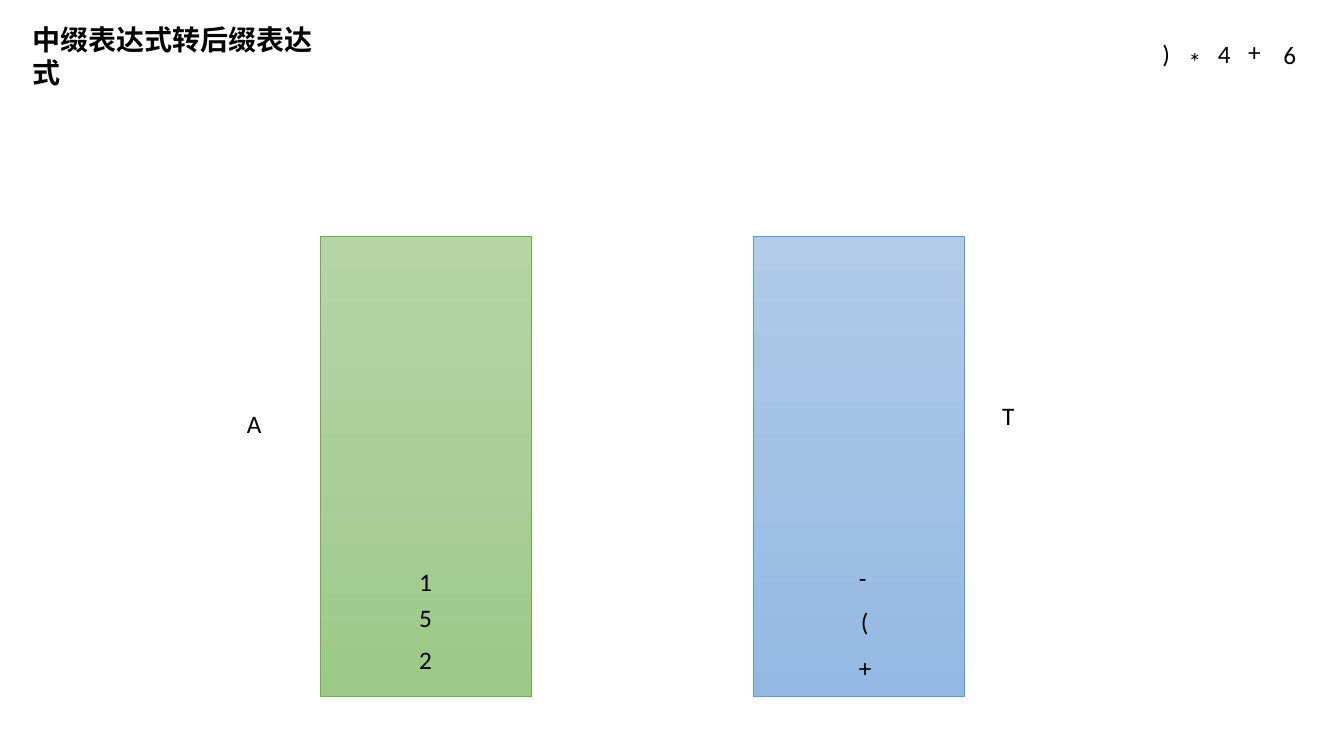
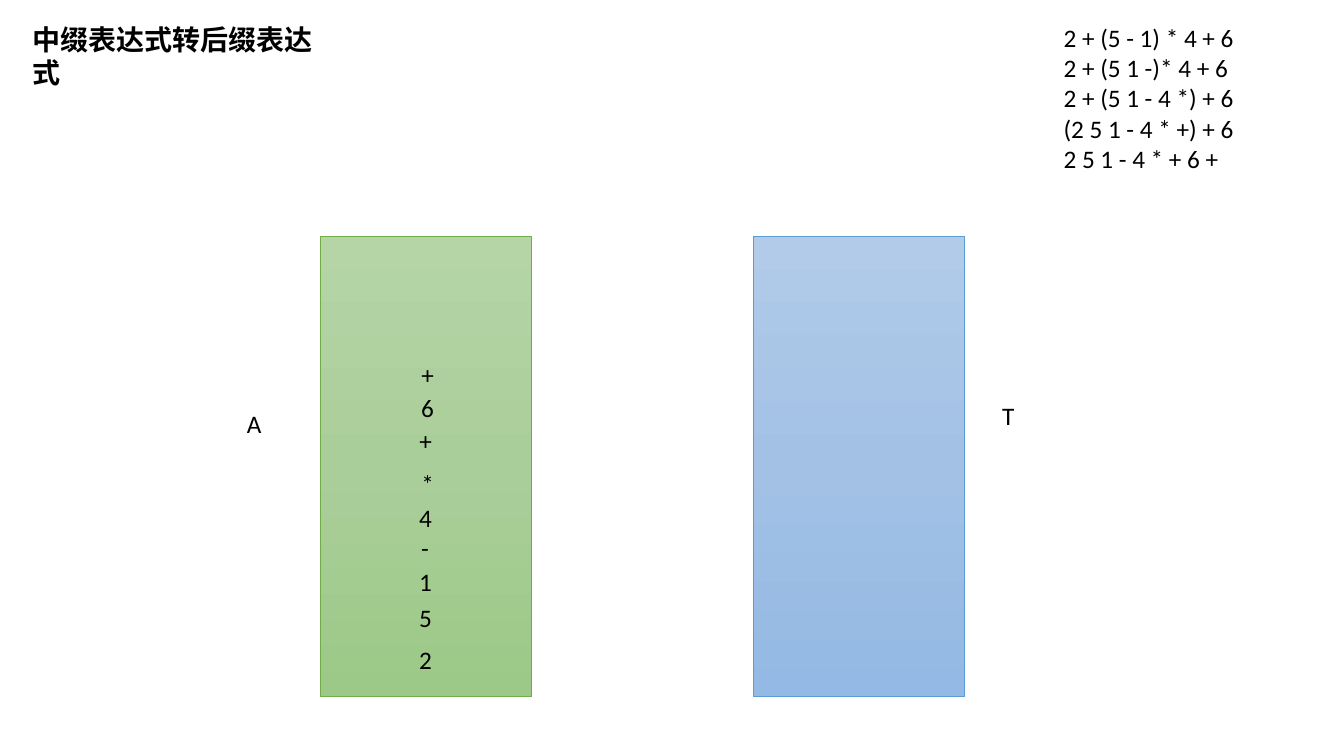
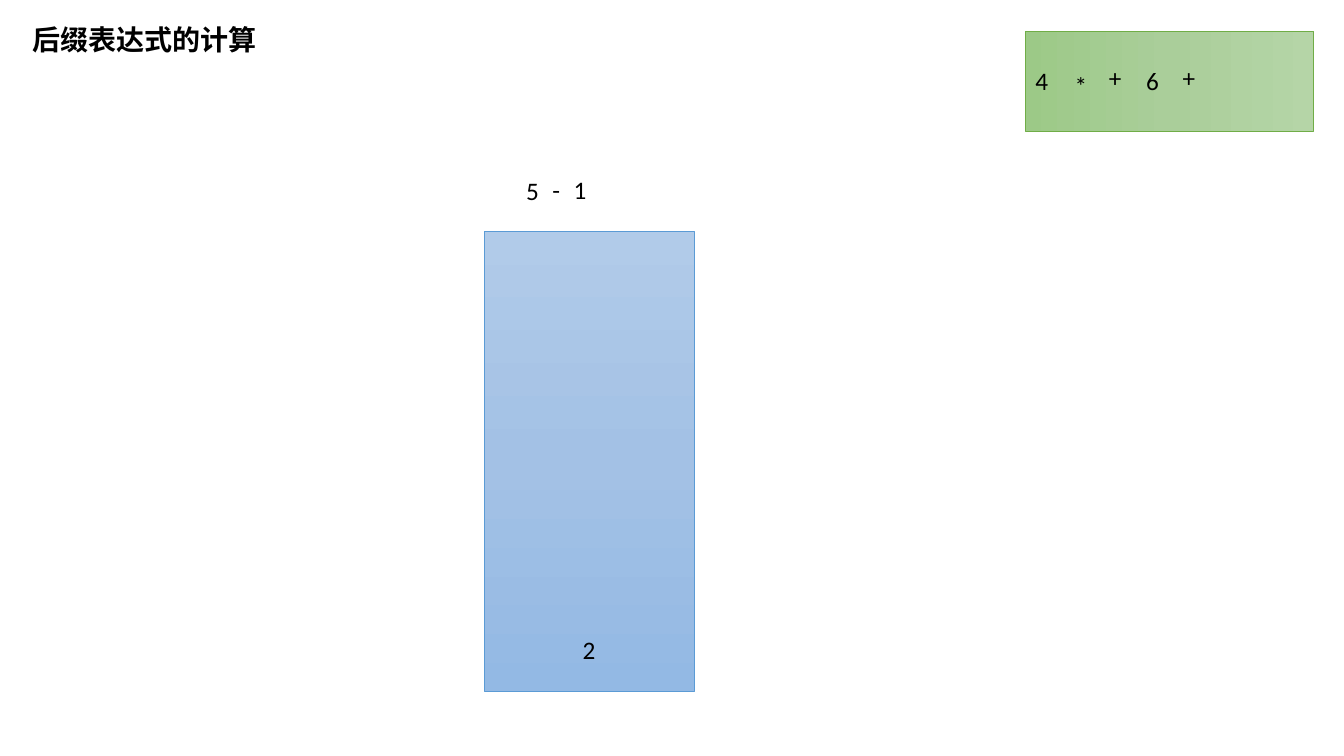
from collections import namedtuple
from dataclasses import dataclass

from lxml import etree
from pptx import Presentation
from pptx.dml.color import RGBColor
from pptx.enum.shapes import MSO_SHAPE
from pptx.enum.text import MSO_AUTO_SIZE, PP_ALIGN
from pptx.oxml.ns import qn
from pptx.util import Inches, Pt

Box = namedtuple("Box", "left top width height")
Palette = namedtuple("Palette", "stops line")


@dataclass(frozen=True)
class Theme:
    """Colours, fonts and type sizes shared by the slides."""
    text: str = "000000"
    body_font: str = "Calibri"
    title_font: str = "Noto Sans CJK SC"
    body_size: int = 18
    title_size: int = 20
    line_width: float = 0.5
    blue: Palette = Palette(("B1CBE9", "A3C1E5", "93B9E4"), "5B9BD5")
    green: Palette = Palette(("B5D5A7", "AACE9A", "9CC987"), "70AD47")


THEME = Theme()
STACK_WIDTH, STACK_HEIGHT = 2.09, 4.56
OUTPUT_STACK = Box(3.18, 2.35, STACK_WIDTH, STACK_HEIGHT)
OPERATOR_STACK = Box(7.47, 2.35, STACK_WIDTH, STACK_HEIGHT)
VALUE_STACK = Box(4.8, 2.3, STACK_WIDTH, STACK_HEIGHT)
POSTFIX_QUEUE = Box(10.17, 0.31, 2.86, 0.99)
PENDING_INPUT = Box(11.43, 0.31, 1.54, 0.5)
OPERATION = Box(5.12, 1.68, 0.81, 0.41)
DERIVATION = Box(10.45, 0.17, 2.78, 1.61)

TOKEN_HEIGHT = 0.4
TOKEN_WIDTHS = {"+": 0.35, "-": 0.3, "*": 0.29, "(": 0.26, ")": 0.26, "A": 0.36}
DIGIT_WIDTH = 0.34

# Each token is (symbol, offset from box left, offset from box top).
OUTPUT_TOKENS = [
    ("2", 0.88, 3.99), ("5", 0.88, 3.58), ("1", 0.88, 3.22),
    ("-", 0.9, 2.88), ("4", 0.88, 2.58), ("*", 0.9, 2.25),
    ("+", 0.88, 1.82), ("6", 0.9, 1.49), ("+", 0.9, 1.17),
]
OPERATOR_TOKENS = [("+", 0.95, 4.07), ("(", 0.97, 3.62), ("-", 0.95, 3.18)]
PENDING_TOKENS = [(")", 0, 0.02), ("*", 0.26, 0.1), ("4", 0.55, 0.02),
                  ("+", 0.85, 0), ("6", 1.2, 0.03)]
QUEUE_TOKENS = [("4", 0, 0.29), ("*", 0.39, 0.34), ("+", 0.73, 0.26),
                ("6", 1.1, 0.29), ("+", 1.46, 0.26)]
OPERATION_TOKENS = [("5", 0, 0.01), ("-", 0.26, 0), ("1", 0.47, 0)]
VALUE_TOKENS = [("2", 0.88, 3.94)]
OUTPUT_LABEL = ("A", -0.83, 1.65)
OPERATOR_LABEL = ("T", 2.37, 1.57)
DERIVATION_STEPS = [
    "2 + (5 - 1) * 4 + 6",
    "2 + (5 1 -)* 4 + 6",
    "2 + (5 1 - 4 *) + 6",
    "(2 5 1 - 4 * +) + 6",
    "2 5 1 - 4 * + 6 +",
]


def add_text(slide, box, text, font=THEME.body_font, size=THEME.body_size,
             bold=False, wrap=False):
    """Add left-aligned text that sizes its box to fit."""
    shape = slide.shapes.add_textbox(*map(Inches, box))
    frame = shape.text_frame
    frame.text = text
    frame.word_wrap = wrap
    frame.auto_size = MSO_AUTO_SIZE.SHAPE_TO_FIT_TEXT
    for paragraph in frame.paragraphs:
        paragraph.alignment = PP_ALIGN.LEFT
        for run in paragraph.runs:
            run.font.name = font
            run.font.size = Pt(size)
            run.font.bold = bold
            run.font.color.rgb = RGBColor.from_string(THEME.text)
            east_asian = etree.SubElement(run.font._element, qn("a:ea"))
            east_asian.set("typeface", font)


def add_title(slide, text):
    """Add the slide title, with its width following the character count."""
    box = Box(0.22, 0.17, 0.2 + 0.278 * len(text), 0.44)
    add_text(slide, box, text, THEME.title_font, THEME.title_size, bold=True)


def add_tokens(slide, box, tokens):
    """Place single symbols relative to the corner of a box."""
    for symbol, across, down in tokens:
        width = TOKEN_WIDTHS.get(symbol, DIGIT_WIDTH)
        add_text(slide, Box(box.left + across, box.top + down, width, TOKEN_HEIGHT),
                 symbol)


def add_container(slide, box, palette, rotation=0):
    """Add a gradient rectangle; a quarter turn still fills the given box."""
    width, height = (box.height, box.width) if rotation else (box.width, box.height)
    left = box.left + (box.width - width) / 2
    top = box.top + (box.height - height) / 2
    shape = slide.shapes.add_shape(
        MSO_SHAPE.RECTANGLE, *map(Inches, (left, top, width, height)))
    shape.rotation = rotation
    shape.shadow.inherit = False
    shape.line.color.rgb = RGBColor.from_string(palette.line)
    shape.line.width = Pt(THEME.line_width)
    shape.fill.gradient()
    shape.fill.gradient_angle = 270
    stop_list = shape._element.spPr.find(qn("a:gradFill")).find(qn("a:gsLst"))
    for stop in list(stop_list):
        stop_list.remove(stop)
    for index, colour in enumerate(palette.stops):
        stop = etree.SubElement(stop_list, qn("a:gs"), pos=str(index * 50000))
        etree.SubElement(stop, qn("a:srgbClr"), val=colour)


def add_conversion_slide(slide, output_tokens, operator_tokens):
    """Draw the title and the labelled output and operator stacks."""
    add_title(slide, "中缀表达式转后缀表达式")
    add_container(slide, OPERATOR_STACK, THEME.blue)
    add_container(slide, OUTPUT_STACK, THEME.green)
    add_tokens(slide, OUTPUT_STACK, [*output_tokens, OUTPUT_LABEL])
    add_tokens(slide, OPERATOR_STACK, [*operator_tokens, OPERATOR_LABEL])


def add_evaluation_slide(slide):
    """Draw the value stack, the postfix queue and the current operation."""
    add_title(slide, "后缀表达式的计算")
    add_container(slide, VALUE_STACK, THEME.blue)
    add_container(slide, POSTFIX_QUEUE, THEME.green, rotation=90)
    add_tokens(slide, VALUE_STACK, VALUE_TOKENS)
    add_tokens(slide, POSTFIX_QUEUE, QUEUE_TOKENS)
    add_tokens(slide, OPERATION, OPERATION_TOKENS)


def main():
    """Build and save the three slides."""
    presentation = Presentation()
    presentation.slide_width = Inches(13.33)
    presentation.slide_height = Inches(7.5)
    blank = presentation.slide_layouts[6]
    midway, finished, evaluation = [
        presentation.slides.add_slide(blank) for _ in range(3)]

    add_conversion_slide(midway, OUTPUT_TOKENS[:3], OPERATOR_TOKENS)
    add_tokens(midway, PENDING_INPUT, PENDING_TOKENS)

    add_conversion_slide(finished, OUTPUT_TOKENS, [])
    add_text(finished, DERIVATION, "\n".join(DERIVATION_STEPS), wrap=True)

    add_evaluation_slide(evaluation)
    presentation.save("out.pptx")


main()
